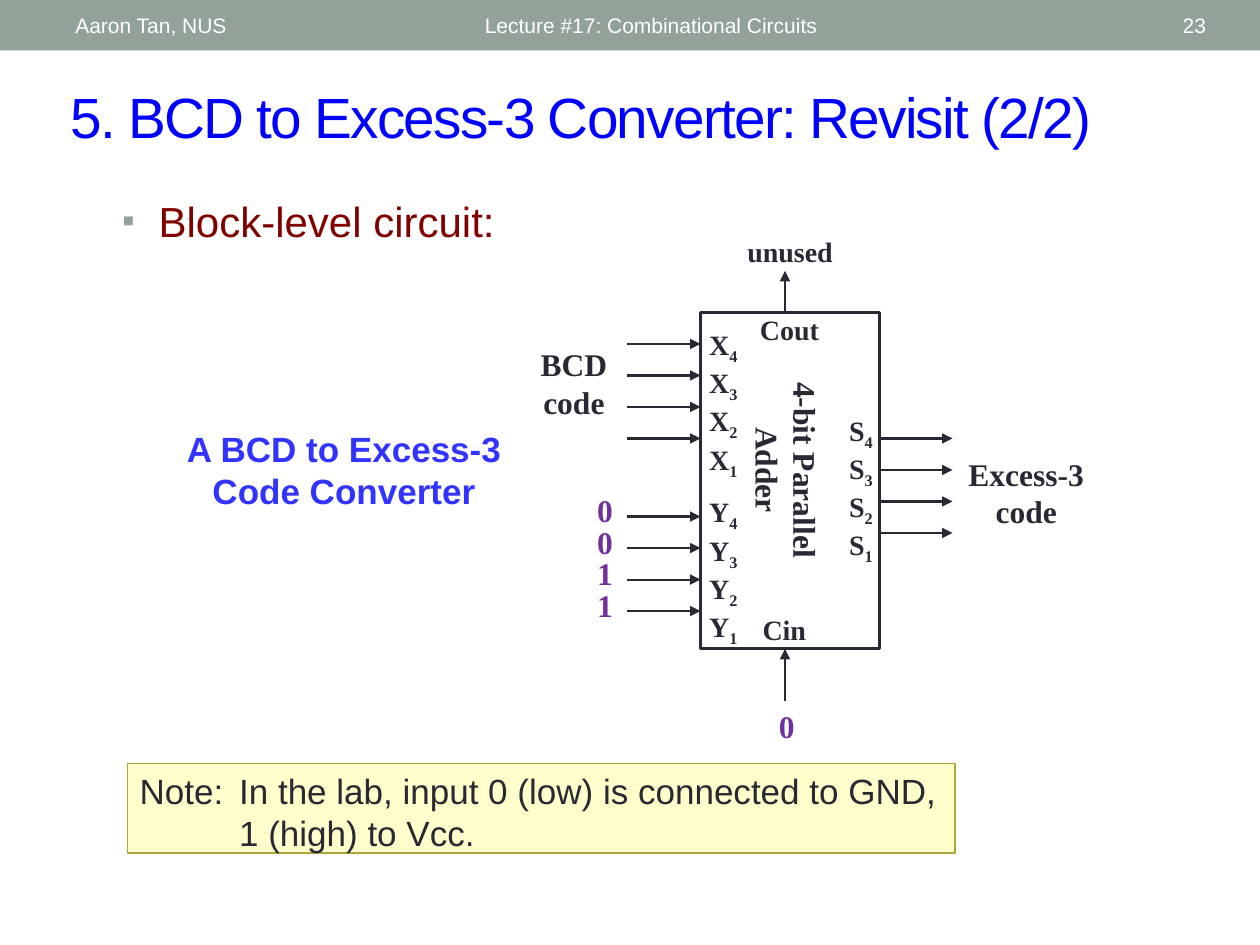
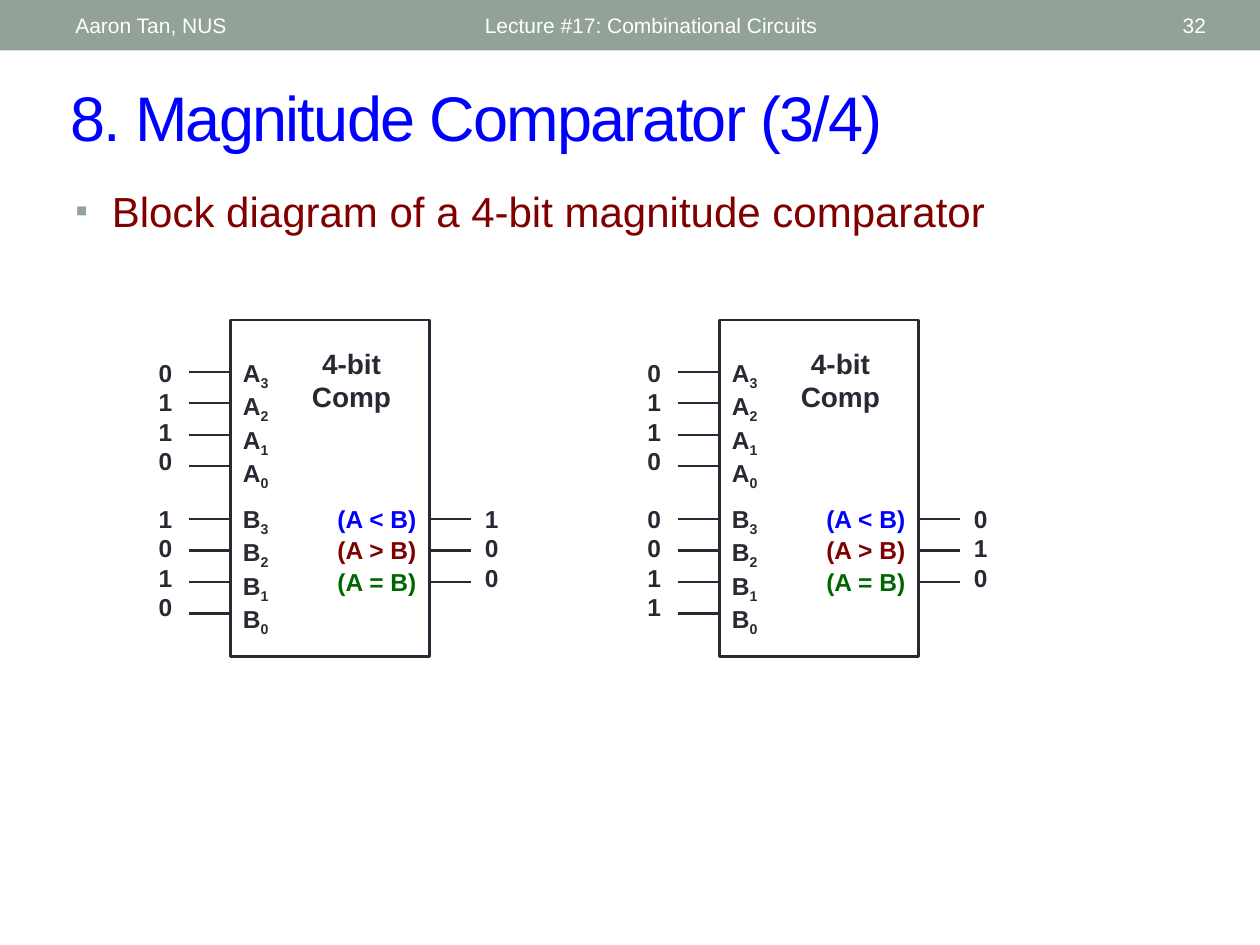
from lxml import etree
from pptx import Presentation
from pptx.dml.color import RGBColor
from pptx.enum.shapes import MSO_CONNECTOR as CONN, MSO_SHAPE as SHAPE
from pptx.enum.text import MSO_ANCHOR as ANCHOR, PP_ALIGN as ALIGN
from pptx.oxml.ns import qn
from pptx.util import Inches, Pt

# Shared look
COLORS = dict(band="93A299", white="FFFFFF", title="0000FF", heading="800000",
              ink="292934", bits="7030A0", caption="3333FF", less="0000FF",
              greater="800000", equal="006600", note="FFFFCC", note_edge="ACA73B")
SANS, SERIF = "Arial", "Times New Roman"
AUTHOR = "Aaron Tan, NUS"
LECTURE = "Lecture #17: Combinational Circuits"
PITCH = 0.25  # distance between neighbouring wires

# Slide 1: a (letter, subscript) pair is a pin name
ADDER = dict(
    number="23", title="5. BCD to Excess-3 Converter: Revisit (2/2)", title_size=32.4,
    heading="Block-level circuit:", heading_at=(0.87, 1.5, 4.05, 0.67),
    body=(5.56, 2.48, 1.42, 2.67))
ADDER_PINS = [("X", 5.53, 2.55), ("Y", 5.53, 3.88), ("S", 6.64, 3.23)]
ADDER_WIRES = [(4.98, 2.73), (4.98, 4.1), (6.98, 3.48)]  # first wire of each group of four
ADDER_LABELS = [
    (["BCD", "code"], (4.14, 2.69, 0.83, 0.7), 18, "ink"),
    (["Excess-3", "code"], (7.56, 3.56, 1.17, 0.7), 18, "ink"),
    (["unused"], (5.81, 1.81, 0.92, 0.37), 16, "ink"),
    (["0"], (6.03, 5.56, 0.43, 0.44), 18, "bits"),
    (["Cin"], (5.89, 4.81, 0.67, 0.37), 16, "ink"),
    (["Cout"], (5.89, 2.43, 0.75, 0.37), 16, "ink"),
]
NOTE = "Note:\tIn the lab, input 0 (low) is connected to GND, 1 (high) to Vcc."

# Slide 2
COMPARATOR = dict(
    number="32", title="8. Magnitude Comparator (3/4)", title_size=36,
    heading="Block diagram of a 4-bit magnitude comparator",
    heading_at=(0.5, 1.42, 9, 0.67))
COMPARATORS = [  # left edge of the block, bits of A, bits of B, outputs
    (1.83, "0110", "1010", "100"),
    (5.71, "0110", "0011", "010"),
]
RESULTS = [("(A < B)", "less"), ("(A > B)", "greater"), ("(A = B)", "equal")]


def rgb(name):
    return RGBColor.from_string(COLORS[name])


def write(tf, lines, size=16, color="ink", font=SANS, bold=False, align=ALIGN.LEFT,
          anchor=ANCHOR.TOP, hang=0, bullet=None, leading=None, tracking=None):
    """Fill a text frame; a pair in lines is a letter with its subscript."""
    tf.word_wrap = True
    tf.vertical_anchor = anchor
    for i, line in enumerate(lines):
        p = tf.paragraphs[0] if i == 0 else tf.add_paragraph()
        p.alignment = align
        if leading:
            p.line_spacing = Pt(leading)
        pPr = p._p.get_or_add_pPr()
        if hang:
            pPr.set("marL", str(Inches(hang)))
            pPr.set("indent", str(-Inches(hang)))
        if bullet:
            clr = etree.SubElement(pPr, qn("a:buClr"))
            etree.SubElement(clr, qn("a:srgbClr"), val=COLORS["band"])
            etree.SubElement(pPr, qn("a:buSzPct"), val="85000")
            etree.SubElement(pPr, qn("a:buFont"), typeface=font)
            etree.SubElement(pPr, qn("a:buChar"), char=bullet)
        pieces = (line,) if isinstance(line, str) else line
        for j, piece in enumerate(pieces):
            r = p.add_run()
            r.text = piece
            r.font.size, r.font.name, r.font.bold = Pt(size), font, bold
            r.font.color.rgb = rgb(color)
            rPr = r._r.get_or_add_rPr()
            if j:
                rPr.set("baseline", "-25000")
            if tracking:
                rPr.set("spc", str(tracking * 100))


def text(s, at, lines, rotation=0, **fmt):
    box = s.shapes.add_textbox(*map(Inches, at))
    box.rotation = rotation
    write(box.text_frame, lines, **fmt)


def rect(s, at, fill=None, line=None, width=1.5):
    sp = s.shapes.add_shape(SHAPE.RECTANGLE, *map(Inches, at))
    sp.shadow.inherit = False
    if fill:
        sp.fill.solid()
        sp.fill.fore_color.rgb = rgb(fill)
    else:
        sp.fill.background()
    if line:
        sp.line.color.rgb = rgb(line)
        sp.line.width = Pt(width)
    else:
        sp.line.fill.background()
    return sp


def wire(s, x1, y1, x2, y2, arrow=False):
    c = s.shapes.add_connector(CONN.STRAIGHT, *map(Inches, (x1, y1, x2, y2)))
    c.line.color.rgb = rgb("ink")
    c.line.width = Pt(1.25)
    if arrow:
        etree.SubElement(c.line._get_or_add_ln(), qn("a:tailEnd"), type="triangle")
    etree.SubElement(c._element.spPr, qn("a:effectLst"))


def wires(s, x, y, length, count, arrow=False):
    for i in range(count):
        wire(s, x, y + i * PITCH, x + length, y + i * PITCH, arrow)


def pins(letter, numbers):
    return [(letter, n) for n in numbers]


def new_slide(prs, info):
    """Add a slide with the band, footer texts, title and bulleted heading."""
    s = prs.slides.add_slide(prs.slide_layouts[6])
    rect(s, (0, 0, 10, 0.4), fill="band")
    text(s, (0.46, 0.57, 9.21, 0.7), [info["title"]], size=info["title_size"],
         color="title", anchor=ANCHOR.MIDDLE, hang=2.16, tracking=-1)
    for line, left, width, align in [(LECTURE, 3.75, 4.5, ALIGN.LEFT),
                                     (info["number"], 8.72, 0.95, ALIGN.RIGHT),
                                     (AUTHOR, 0.5, 3.17, ALIGN.LEFT)]:
        text(s, (left, 0.02, width, 0.36), [line], size=12, color="white",
             align=align, anchor=ANCHOR.MIDDLE)
    text(s, info["heading_at"], [info["heading"]], size=24, color="heading",
         hang=0.29, bullet="▪")
    return s


def adder_slide(prs):
    s = new_slide(prs, ADDER)
    serif = dict(font=SERIF, bold=True)
    # Block and its pins
    rect(s, ADDER["body"], line="ink")
    text(s, (5.41, 3.38, 1.67, 0.7), ["4-bit Parallel Adder"], rotation=90,
         size=18, align=ALIGN.CENTER, **serif)
    for letter, x, y in ADDER_PINS:
        text(s, (x, y, 0.5, 1.17), pins(letter, "4321"), **serif)
    # Wires, carry out and carry in
    for x, y in ADDER_WIRES:
        wires(s, x, y, 0.58, 4, arrow=True)
    wire(s, 6.23, 5.56, 6.23, 5.15, arrow=True)
    wire(s, 6.23, 2.48, 6.23, 2.15, arrow=True)
    # Labels
    text(s, (4.64, 3.9, 0.33, 1.11), list("0011"), size=18, color="bits",
         leading=18, **serif)
    for lines, at, size, color in ADDER_LABELS:
        text(s, at, lines, size=size, color=color, align=ALIGN.CENTER, **serif)
    text(s, (1.27, 3.34, 2.92, 0.77), ["A BCD to Excess-3 Code Converter"],
         size=20, color="caption", bold=True, align=ALIGN.CENTER)
    # Note
    note = rect(s, (1.01, 6.06, 6.57, 0.71), "note", "note_edge", 0.75)
    write(note.text_frame, [NOTE], size=20, hang=0.79)


def comparator(s, x, a_bits, b_bits, outputs):
    """Draw one comparator whose block starts at x."""
    small = dict(size=14, bold=True)
    right = x + 1.58
    rect(s, (x, 2.54, 1.58, 2.67), line="ink")
    text(s, (x + 0.42, 2.7, 1.08, 0.64), ["4-bit Comp"], bold=True, align=ALIGN.CENTER)
    for letter, bits, top, first in [("A", a_bits, 2.79, 2.95), ("B", b_bits, 3.95, 4.12)]:
        text(s, (x, top, 0.48, 1.03), pins(letter, "3210"), **small)
        text(s, (x - 0.67, top, 0.48, 1.03), list(bits), **small)
        wires(s, x - 0.33, first, 0.33, 4)
    for i, (label, color) in enumerate(RESULTS):
        text(s, (x + 0.75, 3.95 + i * PITCH, 0.92, 0.33), [label], color=color, **small)
    wires(s, right, 4.12, 0.33, 3)
    text(s, (right + 0.34, 3.95, 0.48, 0.8), list(outputs), **small)


def main():
    prs = Presentation()
    prs.slide_width, prs.slide_height = Inches(10), Inches(7.5)
    adder_slide(prs)
    s = new_slide(prs, COMPARATOR)
    for block in COMPARATORS:
        comparator(s, *block)
    prs.save("out.pptx")


if __name__ == "__main__":
    main()
